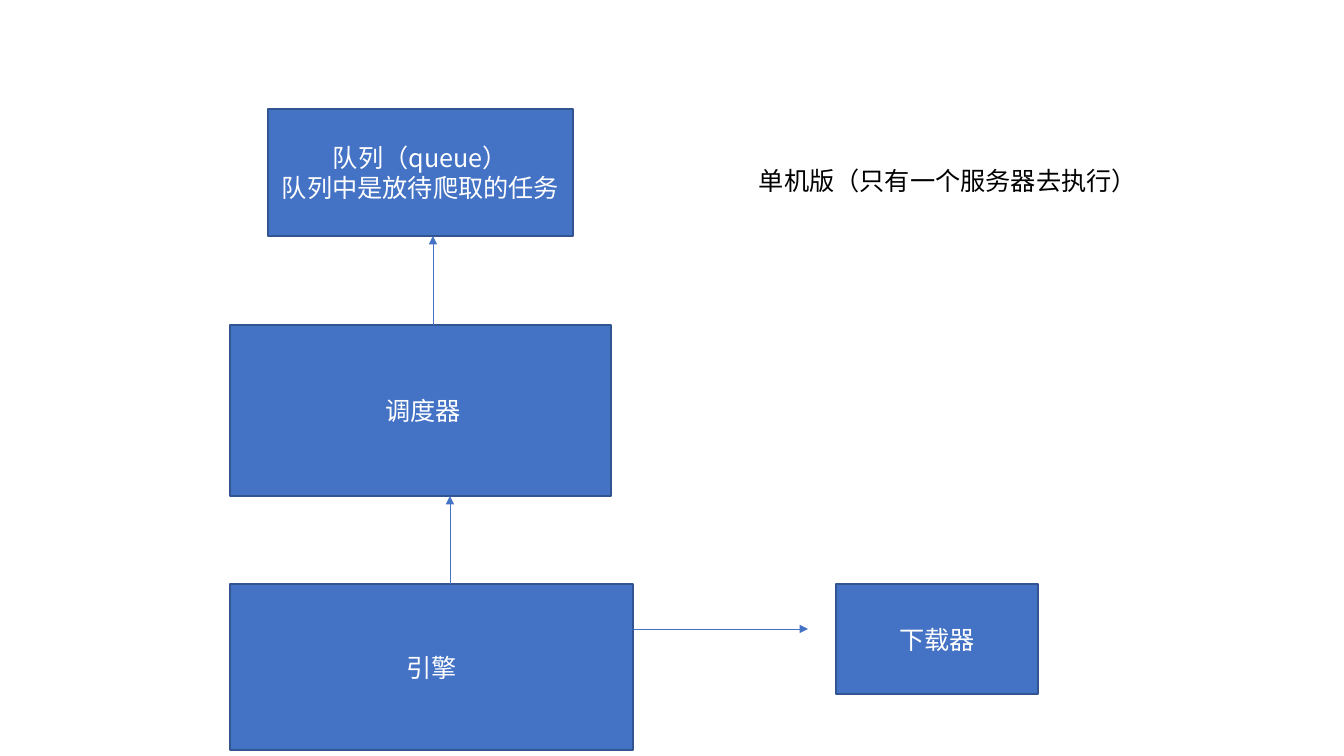
import pptx
import pptx.dml.color
import pptx.enum.shapes
import pptx.enum.text
import pptx.oxml.ns
import pptx.util
from lxml import etree

SLIDE_SIZE = (1344, 756)
PX = 914400 / 100.8
FONT = "Noto Sans CJK SC"
BLUE, EDGE, WHITE, BLACK = "4472C4", "325491", "FFFFFF", "000000"

# lines of text, (left, top, width, height) in px
BOXES = {
    "queue": (["队列（queue）", "队列中是放待爬取的任务"], (268, 109, 305, 127)),
    "scheduler": ([" 调度器"], (230, 325, 381, 171)),
    "engine": (["引擎"], (230, 584, 403, 166)),
    "downloader": (["下载器"], (836, 584, 202, 110)),
}
# lower box, upper box, x in px
UP_ARROWS = [("engine", "scheduler", 450), ("scheduler", "queue", 433)]
DOWNLOAD_Y, DOWNLOAD_END = 629, 808
NOTE = (["单机版（只有一个服务器去执行）"], (749, 160, 402, 40))


def emu(*lengths):
    return [round(length * PX) for length in lengths]


def rgb(color):
    return pptx.dml.color.RGBColor.from_string(color)


def add_drawing_tag(parent, tag, **attributes):
    return etree.SubElement(parent, pptx.oxml.ns.qn(tag), attributes)


def write(frame, lines, color, align, **frame_format):
    for name, value in frame_format.items():
        setattr(frame, name, value)
    frame.text = "\n".join(lines)
    for paragraph in frame.paragraphs:
        paragraph.alignment = align
        for run in paragraph.runs:
            font_format = {"name": FONT, "size": pptx.util.Pt(18)}
            for name, value in font_format.items():
                setattr(run.font, name, value)
            run.font.color.rgb = rgb(color)
            add_drawing_tag(run.font._element, "a:ea", typeface=FONT)


def add_box(shapes, lines, place):
    box = shapes.add_shape(pptx.enum.shapes.MSO_SHAPE.RECTANGLE, *emu(*place))
    box.shadow.inherit = False
    box.fill.solid()
    box.fill.fore_color.rgb = rgb(BLUE)
    box.line.color.rgb = rgb(EDGE)
    box.line.width = pptx.util.Pt(1)
    write(box.text_frame, lines, WHITE, pptx.enum.text.PP_ALIGN.CENTER,
          word_wrap=True, vertical_anchor=pptx.enum.text.MSO_ANCHOR.MIDDLE)


def add_arrow(shapes, *ends):
    arrow = shapes.add_connector(pptx.enum.shapes.MSO_CONNECTOR.STRAIGHT, *emu(*ends))
    arrow.line.color.rgb = rgb(BLUE)
    arrow.line.width = pptx.util.Pt(0.5)
    add_drawing_tag(arrow.line._get_or_add_ln(), "a:tailEnd", type="triangle")
    add_drawing_tag(arrow._element.spPr, "a:effectLst")


def main():
    deck = pptx.Presentation()
    deck.slide_width, deck.slide_height = emu(*SLIDE_SIZE)
    shapes = deck.slides.add_slide(deck.slide_layouts[6]).shapes

    for lines, place in BOXES.values():
        add_box(shapes, lines, place)

    for lower, upper, x in UP_ARROWS:
        _, start, _, _ = BOXES[lower][1]
        _, top, _, height = BOXES[upper][1]
        add_arrow(shapes, x, start, x, top + height)
    left, _, width, _ = BOXES["engine"][1]
    add_arrow(shapes, left + width, DOWNLOAD_Y, DOWNLOAD_END, DOWNLOAD_Y)

    lines, place = NOTE
    note = shapes.add_textbox(*emu(*place))
    write(note.text_frame, lines, BLACK, pptx.enum.text.PP_ALIGN.LEFT,
          word_wrap=False, auto_size=pptx.enum.text.MSO_AUTO_SIZE.SHAPE_TO_FIT_TEXT)

    deck.save("out.pptx")


if __name__ == "__main__":
    main()
